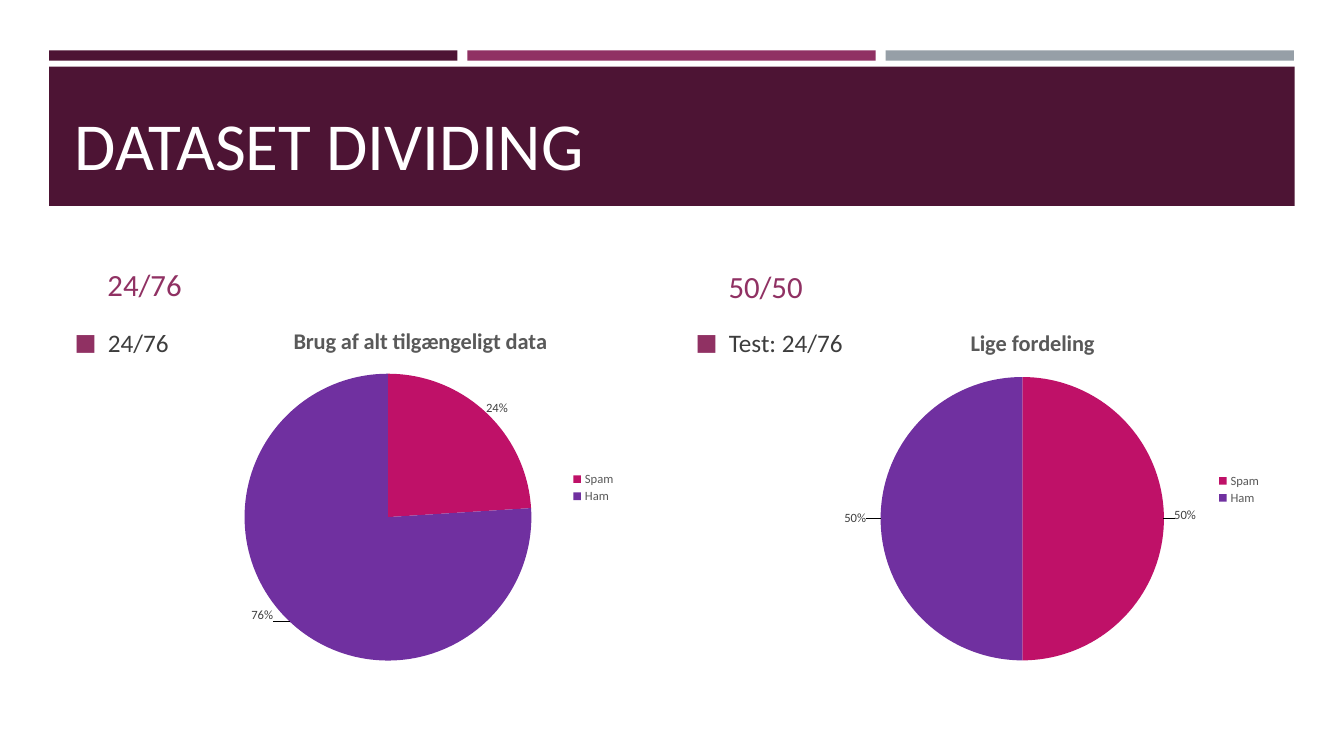
from lxml import etree
from pptx import Presentation
from pptx.chart.data import CategoryChartData
from pptx.dml.color import RGBColor
from pptx.enum.chart import XL_CHART_TYPE, XL_LABEL_POSITION, XL_LEGEND_POSITION
from pptx.enum.shapes import MSO_SHAPE
from pptx.enum.text import MSO_ANCHOR, MSO_AUTO_SIZE, PP_ALIGN
from pptx.oxml.ns import qn
from pptx.util import Cm, Pt

PIE = XL_CHART_TYPE.PIE
OUTER = XL_LABEL_POSITION.OUTSIDE_END
RIGHT = XL_LEGEND_POSITION.RIGHT
RECT = MSO_SHAPE.RECTANGLE
TOP, BOTTOM = MSO_ANCHOR.TOP, MSO_ANCHOR.BOTTOM
FIXED = MSO_AUTO_SIZE.NONE
LEFT = PP_ALIGN.LEFT

WHITE = RGBColor(0xFF, 0xFF, 0xFF)
WINE = RGBColor(0x4D, 0x14, 0x34)
PLUM = RGBColor(0x90, 0x31, 0x63)
STEEL = RGBColor(0x96, 0x9F, 0xA7)
INK = RGBColor(0x3D, 0x3D, 0x3D)
GREY = RGBColor(0x59, 0x59, 0x59)
DARK = RGBColor(0x40, 0x40, 0x40)
PINK = RGBColor(0xBF, 0x11, 0x68)
PURPLE = RGBColor(0x70, 0x30, 0xA0)

INDENT = Cm(0.84)
PITCH = 15.65


class Deck:
    face = "Calibri"

    def __init__(self):
        self.file = Presentation()
        self.file.slide_width, self.file.slide_height = Cm(33.87), Cm(19.05)
        self.slide = self.file.slides.add_slide(self.file.slide_layouts[5])
        self.shapes = self.slide.shapes

    def style(self, font, size, color, bold=False):
        font.name, font.size, font.bold = self.face, Pt(size), bold
        font.color.rgb = color

    def band(self, box, color):
        bar = self.shapes.add_shape(RECT, *map(Cm, box))
        bar.shadow.inherit = False
        bar.fill.solid()
        bar.fill.fore_color.rgb = color
        bar.line.fill.background()

    def label(self, shape, text, size, color, anchor):
        frame = shape.text_frame
        frame.text = text
        frame.word_wrap = True
        frame.auto_size = FIXED
        frame.vertical_anchor = anchor
        line = frame.paragraphs[0]
        line.alignment = LEFT
        self.style(line.runs[0].font, size, color)
        return line

    def title(self, box, text):
        shape = self.shapes.title
        shape.left, shape.top, shape.width, shape.height = map(Cm, box)
        self.shapes._spTree.append(shape._element)
        self.label(shape, text, 48, WHITE, BOTTOM)

    def text(self, box, text, size, color, anchor):
        return self.label(self.shapes.add_textbox(*map(Cm, box)),
                          text, size, color, anchor)

    def bullet(self, box, text):
        line = self.text(box, text, 18, INK, TOP)
        props = line._p.get_or_add_pPr()
        props.set("marL", str(INDENT))
        props.set("indent", str(-INDENT))
        color = etree.SubElement(props, qn("a:buClr"))
        etree.SubElement(color, qn("a:srgbClr")).set("val", str(PLUM))
        etree.SubElement(props, qn("a:buSzPct")).set("val", "92000")
        etree.SubElement(props, qn("a:buFont")).set("typeface", self.face)
        etree.SubElement(props, qn("a:buChar")).set("char", "■")

    def place(self, node, index, spots, inner=False):
        for old in node.findall(qn("c:layout")):
            node.remove(old)
        layout = etree.Element(qn("c:layout"))
        manual = etree.SubElement(layout, qn("c:manualLayout"))
        if inner:
            etree.SubElement(manual, qn("c:layoutTarget")).set("val", "inner")
        if node.tag != qn("c:dLbl"):
            for key in "xy":
                etree.SubElement(manual, qn(f"c:{key}Mode")).set("val", "edge")
        for key, part in zip("xywh", spots):
            etree.SubElement(manual, qn(f"c:{key}")).set("val", str(part))
        node.insert(index, layout)

    def pie(self, box, title, values, head, plot, key, shifts):
        data = CategoryChartData()
        data.categories = ["Spam", "Ham"]
        data.add_series("Series 1", values)
        chart = self.shapes.add_chart(PIE, *map(Cm, box), data).chart
        self.style(chart.font, 10, DARK)

        chart.has_title = True
        frame = chart.chart_title.text_frame
        frame.text = title
        self.style(frame.paragraphs[0].runs[0].font, 16, GREY, True)
        self.place(chart.chart_title._element, 1, head)

        chart.has_legend = True
        chart.legend.position = RIGHT
        chart.legend.include_in_layout = False
        self.style(chart.legend.font, 9, GREY)
        self.place(chart.legend._element, 1, key)
        self.place(chart._chartSpace.chart.plotArea, 0, plot, True)

        chart.plots[0].vary_by_categories = True
        series = chart.plots[0].series[0]
        labels = series.data_labels
        labels.show_value = False
        labels.show_percentage = True
        labels.position = OUTER
        self.style(labels.font, 9, DARK)
        for i, (color, shift) in enumerate(zip((PINK, PURPLE), shifts)):
            point = series.points[i]
            point.format.fill.solid()
            point.format.fill.fore_color.rgb = color
            point.format.line.fill.background()
            label = point.data_label
            self.style(label.font, 9, DARK)
            label.position = OUTER
            node = labels._element.findall(qn("c:dLbl"))[i]
            node.find(qn("c:showVal")).set("val", "0")
            node.find(qn("c:showPercent")).set("val", "1")
            self.place(node, 1, shift)


def main():
    deck = Deck()
    for i, color in enumerate((WINE, PLUM, STEEL)):
        deck.band((1.24 + i * 10.54, 1.27, 10.29, 0.26), color)
    deck.band((1.24, 1.68, 31.39, 3.51), WINE)
    deck.title((1.63, 2.03, 30.63, 2.74), "DATASET DIVIDING")

    sides = (("24/76", "24/76", 1.5), ("50/50", "Test: 24/76", 1.55))
    for i, (head, note, tall) in enumerate(sides):
        deck.text((2.46 + i * PITCH, 6.25, 14.12, tall), head, 22, PLUM, BOTTOM)
        deck.bullet((1.63 + i * PITCH, 8.13, 14.99, 8.15), note)

    deck.pie((5.18, 7.75, 10.57, 9.27), "Brug af alt tilgængeligt data",
             (24, 76), (0.2, 0.04), (0.09, 0.18, 0.69, 0.78),
             (0.86, 0.44, 0.13, 0.1), ((-0.01, 0.02), (-0.03, -0.05)))
    deck.pie((21.11, 7.8, 10.82, 9.25), "Lige fordeling",
             (50, 50), (0.3, 0.04), (0.1, 0.18, 0.66, 0.78),
             (0.87, 0.44, 0.13, 0.1), ((0.01, -0.01), (-0.02, 0)))
    deck.file.save("out.pptx")


if __name__ == "__main__":
    main()
